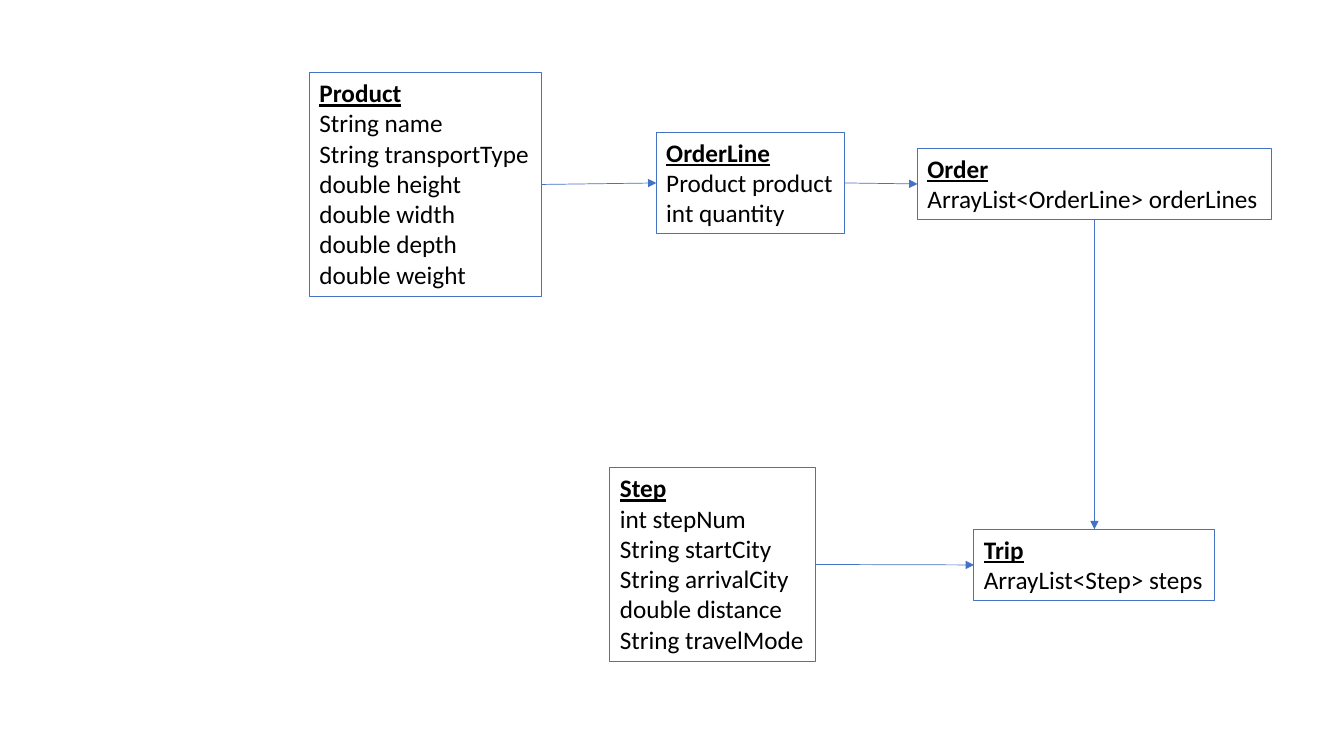
from dataclasses import dataclass

from lxml import etree
from pptx import Presentation
from pptx import util as u
from pptx.dml.color import RGBColor
from pptx.enum import shapes, text
from pptx.oxml import ns
from pptx.shapes.autoshape import Shape
from pptx.slide import Slide

EMU_PER_PX = 9144  # 100 px to the inch
TOP, LEFT, BOTTOM, RIGHT = range(4)  # connection sites of a rectangle


@dataclass(frozen=True)
class Theme:
    font: str = "Calibri"
    text_size: u.Length = u.Pt(18)
    text_color: RGBColor = RGBColor(0x00, 0x00, 0x00)
    line_color: RGBColor = RGBColor(0x44, 0x72, 0xC4)
    border_width: u.Length = u.Pt(0.75)
    arrow_width: u.Length = u.Pt(0.5)


@dataclass(frozen=True)
class ClassBox:
    name: str
    fields: tuple[str, ...]
    left: int
    top: int
    width: int
    height: int


@dataclass(frozen=True)
class Association:
    source: str
    source_site: int
    target: str
    target_site: int


THEME = Theme()

CLASSES = (
    ClassBox("Order", ("ArrayList<OrderLine> orderLines",), 910, 147, 351, 71),
    ClassBox("Trip", ("ArrayList<Step> steps",), 966, 525, 239, 71),
    ClassBox(
        "Step",
        ("int stepNum", "String startCity", "String arrivalCity",
         "double distance", "String travelMode"),
        605, 464, 204, 192,
    ),
    ClassBox(
        "Product",
        ("String name", "String transportType", "double height",
         "double width", "double depth", "double weight"),
        307, 72, 230, 222,
    ),
    ClassBox("OrderLine", ("Product product", "int quantity"), 651, 131, 187, 101),
)

ASSOCIATIONS = (
    Association("Product", RIGHT, "OrderLine", LEFT),
    Association("OrderLine", RIGHT, "Order", LEFT),
    Association("Step", RIGHT, "Trip", LEFT),
    Association("Order", BOTTOM, "Trip", TOP),
)


def px(length: int) -> u.Emu:
    return u.Emu(length * EMU_PER_PX)


def draw_class(slide: Slide, box: ClassBox) -> Shape:
    card = slide.shapes.add_textbox(
        px(box.left), px(box.top), px(box.width), px(box.height)
    )
    card.line.color.rgb = THEME.line_color
    card.line.width = THEME.border_width
    frame = card.text_frame
    frame.word_wrap = False
    frame.auto_size = text.MSO_AUTO_SIZE.SHAPE_TO_FIT_TEXT
    frame.text = "\n".join((box.name, *box.fields))
    for row, paragraph in enumerate(frame.paragraphs):
        font = paragraph.font
        font.name = THEME.font
        font.size = THEME.text_size
        font.color.rgb = THEME.text_color
        font.bold = font.underline = row == 0
    return card


def draw_association(
    slide: Slide, association: Association, cards: dict[str, Shape]
) -> None:
    arrow = slide.shapes.add_connector(shapes.MSO_CONNECTOR.STRAIGHT, 0, 0, 0, 0)
    arrow.begin_connect(cards[association.source], association.source_site)
    arrow.end_connect(cards[association.target], association.target_site)
    arrow.line.color.rgb = THEME.line_color
    arrow.line.width = THEME.arrow_width
    # Arrowhead at the target, no shadow
    outline = arrow.line._get_or_add_ln()
    etree.SubElement(outline, ns.qn("a:tailEnd"), type="triangle")
    etree.SubElement(arrow._element.spPr, ns.qn("a:effectLst"))


def main() -> None:
    deck = Presentation()
    deck.slide_width, deck.slide_height = px(1333), px(750)
    slide = deck.slides.add_slide(deck.slide_layouts[6])

    # Class boxes
    cards = {box.name: draw_class(slide, box) for box in CLASSES}

    # Arrows between the classes
    for association in ASSOCIATIONS:
        draw_association(slide, association, cards)

    deck.save("out.pptx")


if __name__ == "__main__":
    main()
